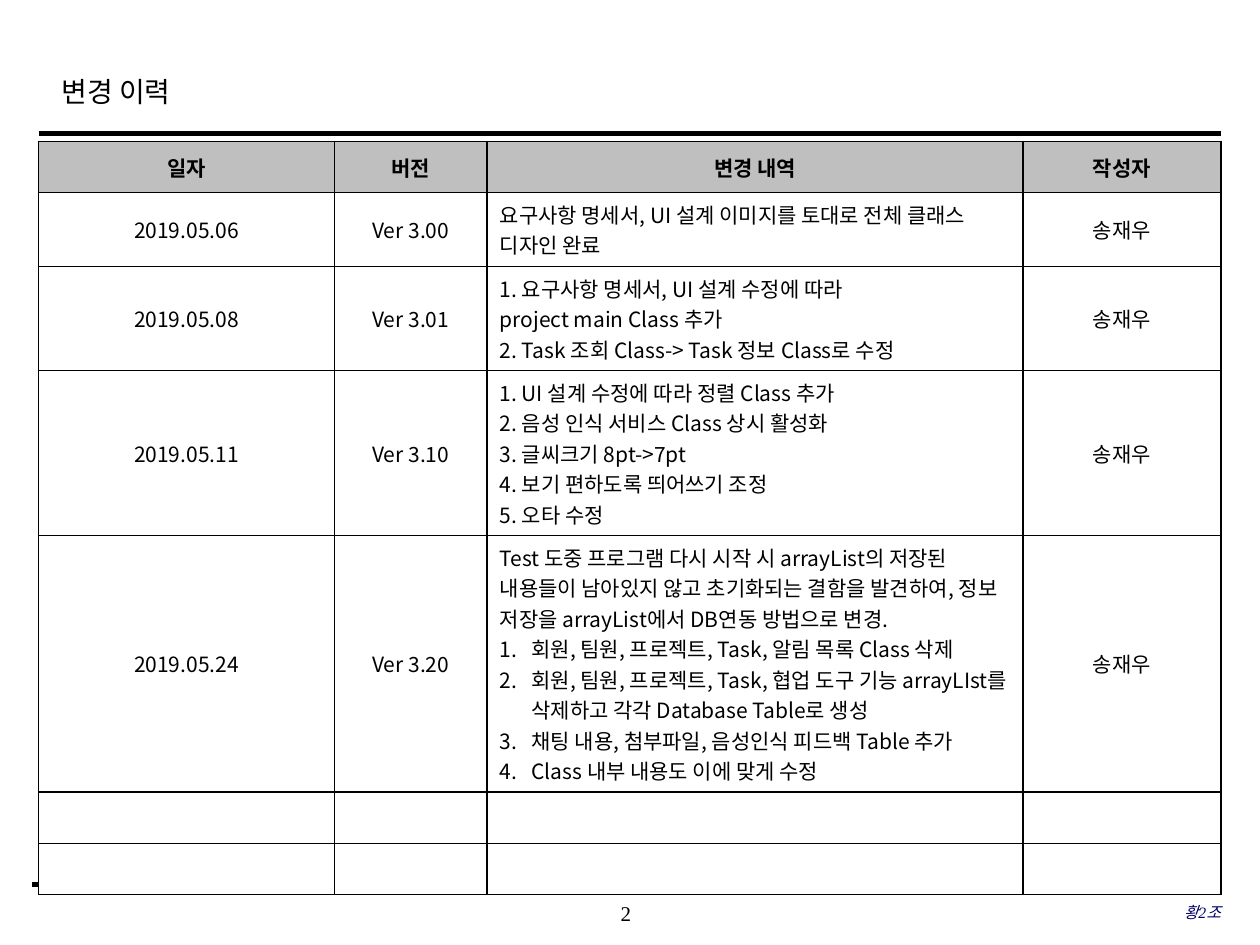
from lxml import etree
from pptx import Presentation
from pptx import util as u
from pptx.dml.color import RGBColor
from pptx.enum import shapes, text
from pptx.oxml.ns import qn

COLORS = {"ink": "000000", "header": "BFBFBF", "body": "FFFFFF", "footer": "000066"}
SERIF, SANS = "Times New Roman", "Noto Sans CJK KR"
CENTER, LEFT, RIGHT = text.PP_ALIGN.CENTER, text.PP_ALIGN.LEFT, text.PP_ALIGN.RIGHT
TOP, MIDDLE = text.MSO_ANCHOR.TOP, text.MSO_ANCHOR.MIDDLE


def format_paragraph(p, size, font, color, align, bold=False, italic=False):
    p.alignment = align
    for r in p.runs:
        f = r.font
        f.size, f.name, f.bold, f.italic = u.Pt(size), font, bold, italic
        f.color.rgb = RGBColor.from_string(COLORS[color])


def add_border(cell, side):
    ln = etree.SubElement(cell._tc.get_or_add_tcPr(), qn("a:" + side), w=str(u.Pt(1)))
    fill = etree.SubElement(ln, qn("a:solidFill"))
    etree.SubElement(fill, qn("a:srgbClr"), val=COLORS["ink"])


prs = Presentation()
prs.slide_width, prs.slide_height = u.Cm(25.4), u.Cm(19.05)
s = prs.slides.add_slide(prs.slide_layouts[6])

for left, y, weight in [(0.79, 2.69, 2.5), (0.64, 17.83, 3)]:
    rule = s.shapes.add_connector(
        shapes.MSO_CONNECTOR.STRAIGHT, u.Cm(left), u.Cm(y), u.Cm(24.61), u.Cm(y))
    rule.line.color.rgb = RGBColor.from_string(COLORS["ink"])
    rule.line.width = u.Pt(weight)
    etree.SubElement(rule._element.spPr, qn("a:effectLst"))

labels = [
    ("변경 이력", (0.99, 1.24, 19.18, 1.27), 16, "ink", LEFT, TOP, False, 1.2),
    ("2", (9.98, 17.98, 5.28, 0.84), 12, "ink", CENTER, MIDDLE, False, 1),
    ("황2조", (16.84, 17.96, 7.77, 0.84), 9, "footer", RIGHT, MIDDLE, True, 1),
]
for label, box, size, color, align, anchor, italic, spacing in labels:
    sp = s.shapes.add_textbox(*[u.Cm(v) for v in box])
    tf = sp.text_frame
    tf.word_wrap = True
    tf.vertical_anchor = anchor
    if align != LEFT:
        tf.margin_left = tf.margin_right = tf.margin_top = tf.margin_bottom = 0
    tf.text = label
    p = tf.paragraphs[0]
    p.line_spacing = spacing
    format_paragraph(p, size, SERIF, color, align, italic=italic)

AUTHOR = "송재우"
rows = [
    (1.03, "일자", "버전", "변경 내역", "작성자"),
    (1.49, "2019.05.06", "Ver 3.00",
     "요구사항 명세서, UI 설계 이미지를 토대로 전체 클래스 디자인 완료", AUTHOR),
    (2.1, "2019.05.08", "Ver 3.01",
     "1. 요구사항 명세서, UI 설계 수정에 따라 \n"
     "project main Class 추가 \n"
     "2. Task 조회 Class-> Task 정보 Class로 수정", AUTHOR),
    (3.32, "2019.05.11", "Ver 3.10",
     "1. UI 설계 수정에 따라 정렬 Class 추가\n"
     "2. 음성 인식 서비스 Class 상시 활성화 \n"
     "3. 글씨크기 8pt->7pt\n"
     "4. 보기 편하도록 띄어쓰기 조정\n"
     "5. 오타 수정", AUTHOR),
    (5.18, "2019.05.24", "Ver 3.20",
     "Test 도중 프로그램 다시 시작 시 arrayList의 저장된 내용들이 남아있지 않고 "
     "초기화되는 결함을 발견하여, 정보 저장을 arrayList에서 DB연동 방법으로 변경.\n"
     "회원, 팀원, 프로젝트, Task, 알림 목록 Class 삭제\n"
     "회원, 팀원, 프로젝트, Task, 협업 도구 기능 arrayLIst를 삭제하고 각각 "
     "Database Table로 생성\n"
     "채팅 내용, 첨부파일, 음성인식 피드백 Table 추가\n"
     "Class 내부 내용도 이에 맞게 수정", AUTHOR),
    (1.03, "", "", "", ""),
    (1.03, "", "", "", ""),
]
widths = (5.96, 3.08, 10.8, 3.99)
DETAIL_COL, NUMBERED_ROW = 2, 4

frame = s.shapes.add_table(
    len(rows), len(widths), u.Cm(0.78), u.Cm(2.85),
    u.Cm(sum(widths)), u.Cm(sum(row[0] for row in rows)))
table = frame.table
for column, width in zip(table.columns, widths):
    column.width = u.Cm(width)
for i, (height, *values) in enumerate(rows):
    table.rows[i].height = u.Cm(height)
    for j, value in enumerate(values):
        cell = table.cell(i, j)
        cell.vertical_anchor = MIDDLE
        if j == DETAIL_COL:
            cell.margin_right = u.Cm(0.3 if i else 0.25)
        for side in ("lnL", "lnR", "lnT", "lnB"):
            add_border(cell, side)
        cell.fill.solid()
        cell.fill.fore_color.rgb = RGBColor.from_string(
            COLORS["header" if i == 0 else "body"])
        cell.text_frame.text = value
        align = LEFT if j == DETAIL_COL and i > 0 else CENTER
        for n, p in enumerate(cell.text_frame.paragraphs):
            format_paragraph(p, 12, SANS, "ink", align, bold=i == 0)
            if (i, j) == (NUMBERED_ROW, DETAIL_COL) and n > 0:
                pPr = p._p.get_or_add_pPr()
                pPr.set("marL", str(u.Cm(0.64)))
                pPr.set("indent", str(-u.Cm(0.64)))
                etree.SubElement(pPr, qn("a:buFont"), typeface="+mj-lt")
                etree.SubElement(pPr, qn("a:buAutoNum"), type="arabicPeriod")

prs.save("out.pptx")
